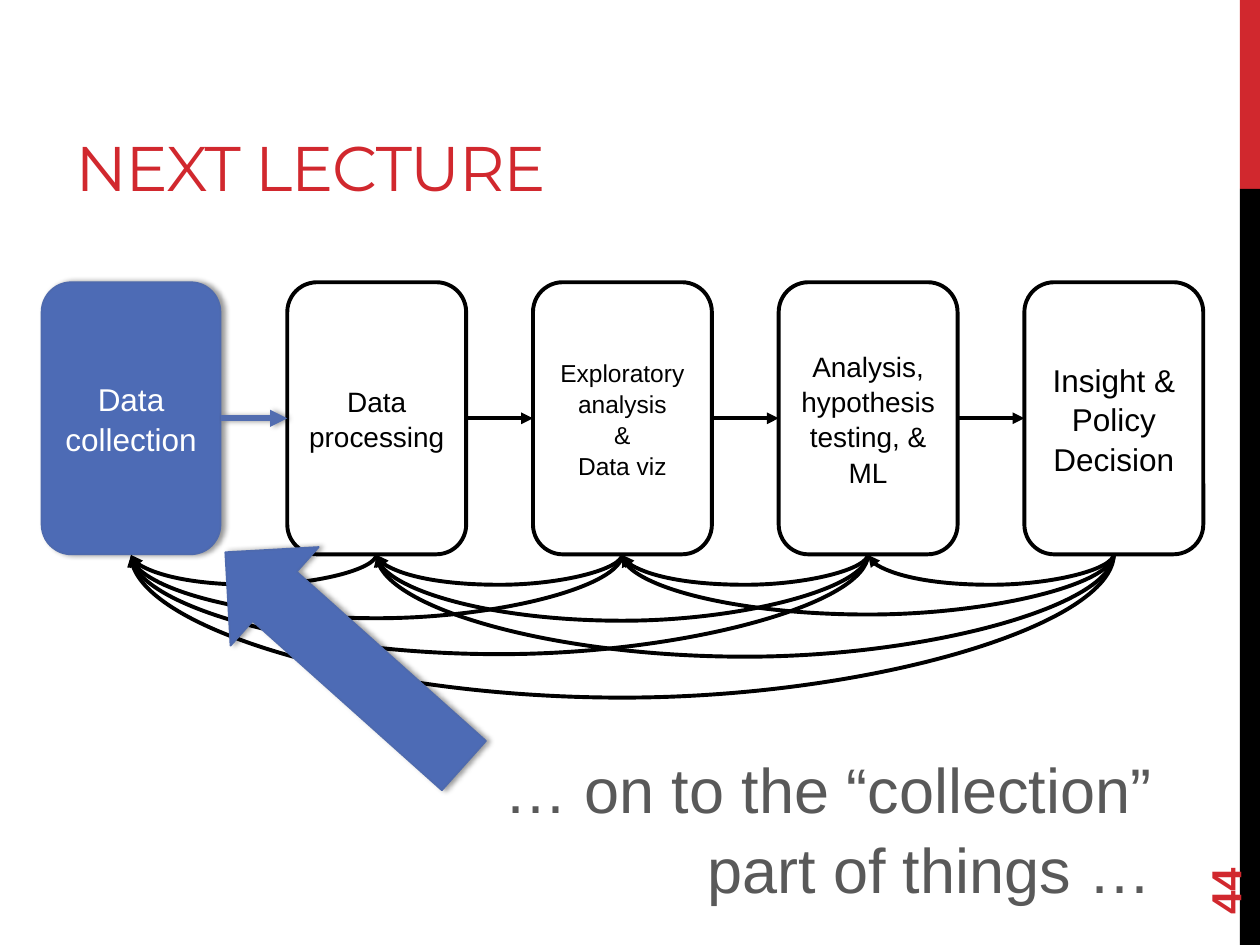
from lxml import etree
from pptx import Presentation
from pptx.dml.color import RGBColor
from pptx.enum.shapes import MSO_CONNECTOR, MSO_SHAPE
from pptx.enum.text import MSO_ANCHOR, MSO_AUTO_SIZE, PP_ALIGN
from pptx.oxml import parse_xml
from pptx.oxml.ns import nsdecls, qn
from pptx.util import Inches, Pt

RECTANGLE, ROUNDED = MSO_SHAPE.RECTANGLE, MSO_SHAPE.ROUNDED_RECTANGLE
DOWN_ARROW = MSO_SHAPE.DOWN_ARROW
STRAIGHT, CURVE = MSO_CONNECTOR.STRAIGHT, MSO_CONNECTOR.CURVE
LEFT, CENTER, RIGHT = PP_ALIGN.LEFT, PP_ALIGN.CENTER, PP_ALIGN.RIGHT
TOP, MIDDLE, BOTTOM = MSO_ANCHOR.TOP, MSO_ANCHOR.MIDDLE, MSO_ANCHOR.BOTTOM
RIGHT_SIDE, LEFT_SIDE = 3, 1

COLORS = {
    "red": "D1282E", "black": "000000", "white": "FFFFFF", "gray": "595959",
    "blue": "4D6BB5", "blue_edge": "4E6AAE", "blue_arrow": "526DB0",
}


def write(shape, text, size, color, font="Arial", bold=False, align=LEFT, anchor=MIDDLE, spacing=1.05):
    frame = shape.text_frame
    frame.word_wrap = True
    frame.auto_size = MSO_AUTO_SIZE.NONE
    frame.vertical_anchor = anchor
    frame.text = text
    for paragraph in frame.paragraphs:
        paragraph.alignment = align
        paragraph.line_spacing = spacing
        for run in paragraph.runs:
            run.font.name = font
            run.font.size = Pt(size)
            run.font.bold = bold
            run.font.color.rgb = RGBColor.from_string(COLORS[color])


def style(shape, line, width, fill=None, shadow=False, arrowhead=False):
    """Set line, fill, shadow and arrowhead of a shape or connector."""
    shape.line.color.rgb = RGBColor.from_string(COLORS[line])
    shape.line.width = Pt(width)
    if fill:
        shape.fill.solid()
        shape.fill.fore_color.rgb = RGBColor.from_string(COLORS[fill])
    properties = shape._element.spPr
    if arrowhead:
        etree.SubElement(properties.find(qn("a:ln")), qn("a:tailEnd"), type="triangle")
    outer = (
        '<a:outerShdw blurRad="40000" dist="23000" dir="0" rotWithShape="0">'
        '<a:srgbClr val="000000"><a:alpha val="40000"/></a:srgbClr></a:outerShdw>'
    ) if shadow else ""
    properties.append(parse_xml(f'<a:effectLst {nsdecls("a")}>{outer}</a:effectLst>'))


presentation = Presentation()
presentation.slide_width = Inches(10)
presentation.slide_height = Inches(7.5)
slide = presentation.slides.add_slide(presentation.slide_layouts[5])
shapes = slide.shapes

# Side bar
for top, height, color in [(0, 1.5, "red"), (1.5, 6, "black")]:
    bar = shapes.add_shape(RECTANGLE, Inches(9.84), Inches(top), Inches(0.16), Inches(height))
    style(bar, color, 0, fill=color)
    bar.line.fill.background()

# Title and slide number
title = shapes.title
title.left, title.top, title.width, title.height = Inches(0.5), Inches(0.17), Inches(6.33), Inches(1.5)
write(title, "NEXT LECTURE", 36, "red", font="Montserrat", anchor=BOTTOM, spacing=1.0)
title.text_frame.paragraphs[0].runs[0].font._element.set("spc", "-60")

number = shapes.add_textbox(Inches(9), Inches(6.44), Inches(1.44), Inches(0.4))
number.rotation = 270
write(number, "44", 24, "red", bold=True, spacing=1.0)

# Pipeline stages
STAGES = [
    ("Data collection", 18),
    ("Data processing", 16),
    ("Exploratory analysis\n&\nData viz", 14),
    ("Analysis, hypothesis testing, & ML", 16),
    ("Insight & Policy Decision", 18),
]
FIRST_LEFT, PITCH, STAGE_TOP, STAGE_WIDTH, STAGE_HEIGHT = 0.33, 1.95, 2.24, 1.42, 2.16
stages = []
for index, (text, size) in enumerate(STAGES):
    current = index == 0
    stage = shapes.add_shape(ROUNDED, Inches(FIRST_LEFT + index * PITCH), Inches(STAGE_TOP),
                             Inches(STAGE_WIDTH), Inches(STAGE_HEIGHT))
    if current:
        style(stage, "blue_edge", 1, fill="blue", shadow=True)
    else:
        style(stage, "black", 2.25, fill="white")
    write(stage, text, size, "white" if current else "black", align=CENTER)
    stages.append(stage)

# Forward arrows
for index, (source, target) in enumerate(zip(stages, stages[1:])):
    arrow = shapes.add_connector(STRAIGHT, 0, 0, 0, 0)
    arrow.begin_connect(source, RIGHT_SIDE)
    arrow.end_connect(target, LEFT_SIDE)
    if index == 0:
        style(arrow, "blue_arrow", 3.25, shadow=True, arrowhead=True)
    else:
        style(arrow, "black", 2.25, arrowhead=True)

# Feedback curves: (from stage, to stage) and how far each hangs below the stages
FEEDBACK_DEPTHS = {
    (1, 0): 0.25,
    (2, 1): 0.25, (2, 0): 0.52,
    (3, 2): 0.25, (3, 1): 0.54, (3, 0): 0.81,
    (4, 3): 0.25, (4, 2): 0.49, (4, 1): 0.83, (4, 0): 1.16,
}
CURVE_WIDTH = 0.01
stage_bottom = STAGE_TOP + STAGE_HEIGHT
for (source, target), depth in FEEDBACK_DEPTHS.items():
    span = (source - target) * PITCH
    middle = FIRST_LEFT + STAGE_WIDTH / 2 + (source + target) * PITCH / 2
    left, top = middle - CURVE_WIDTH / 2, stage_bottom - span / 2
    curve = shapes.add_connector(CURVE, Inches(left), Inches(top),
                                 Inches(left + CURVE_WIDTH), Inches(top + span))
    properties = curve._element.spPr
    properties.find(qn("a:xfrm")).set("rot", "5400000")
    adjustments = properties.find(qn("a:prstGeom")).find(qn("a:avLst"))
    etree.SubElement(adjustments, qn("a:gd"), name="adj1",
                     fmla=f"val {round(depth / CURVE_WIDTH * 100000)}")
    style(curve, "black", 2.25, arrowhead=True)

# Pointer to the next topic
pointer = shapes.add_shape(DOWN_ARROW, Inches(2.21), Inches(3.96), Inches(1.05), Inches(2.54))
pointer.rotation = 131.8
style(pointer, "blue_edge", 1, fill="blue", shadow=True)

caption = shapes.add_textbox(Inches(3.57), Inches(5.88), Inches(5.67), Inches(1.31))
write(caption, "… on to the “collection” part of things …", 36, "gray", align=RIGHT, anchor=TOP)

presentation.save("out.pptx")
